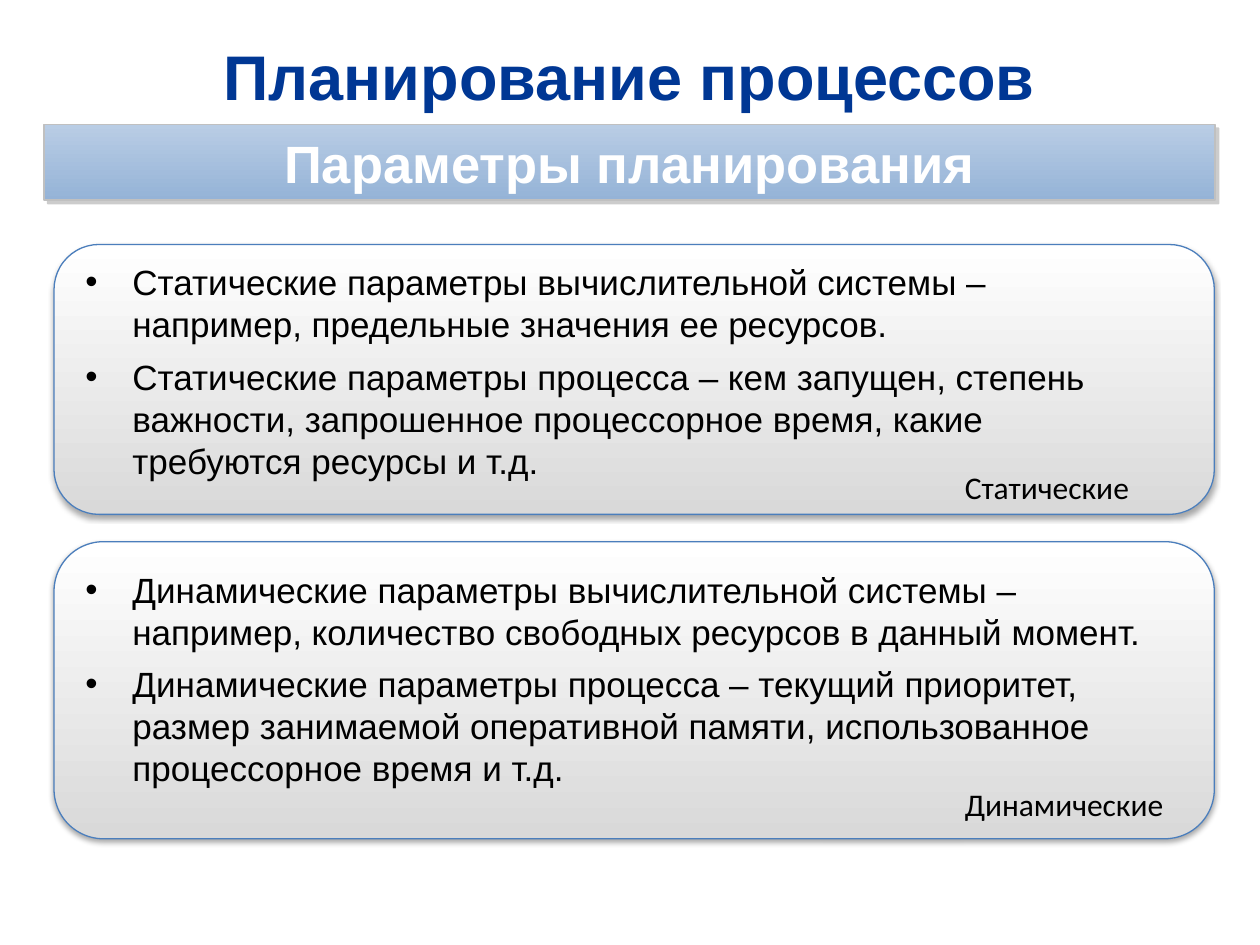
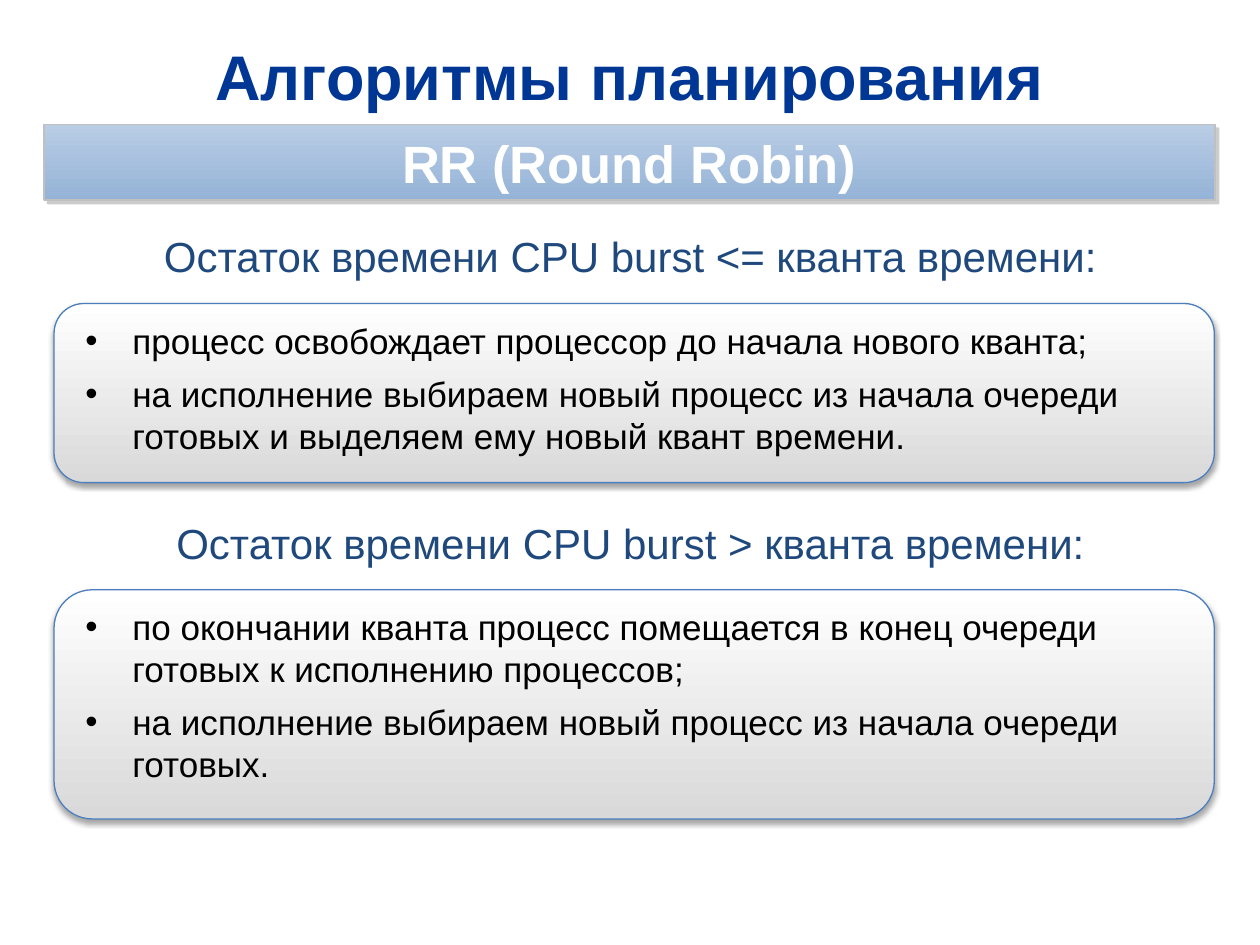
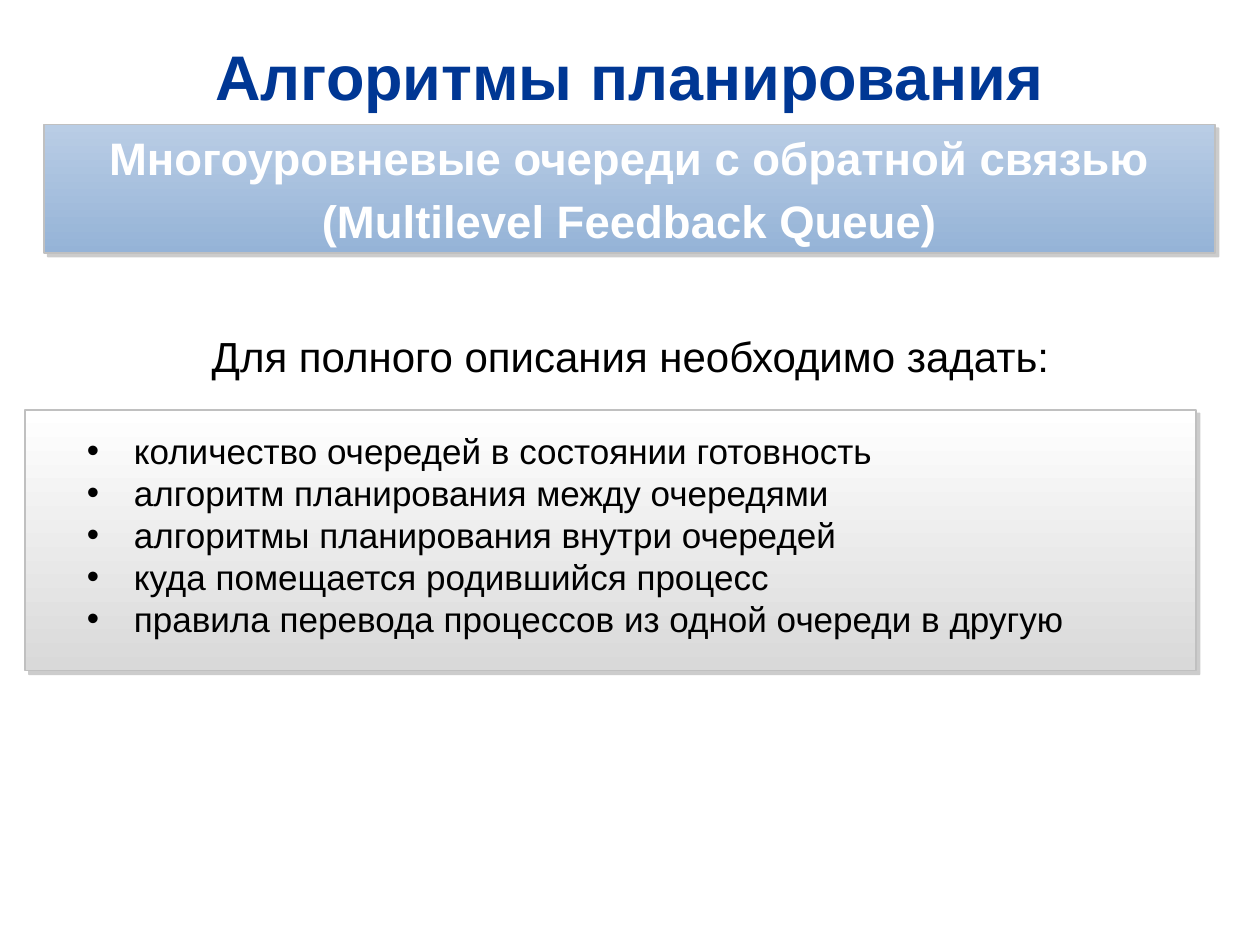
from dataclasses import dataclass

from lxml import etree
from pptx import Presentation, util as u
from pptx.dml.color import RGBColor
from pptx.enum import shapes, text
from pptx.oxml import ns

Cm, Pt = u.Cm, u.Pt
BOX, ROUND = shapes.MSO_SHAPE.RECTANGLE, shapes.MSO_SHAPE.ROUNDED_RECTANGLE


@dataclass(frozen=True)
class Theme:
    # Fonts and colours
    font: str = "Arial"
    alt: str = "Calibri"
    navy: str = "003794"
    blue: str = "1F497D"
    black: str = "000000"
    white: str = "FFFFFF"
    rim: str = "4B7EBC"
    edge: str = "C0C0C0"
    steel: tuple = ("B9CDE5", "95B3D7")
    grey: tuple = ("FFFFFF", "D9D9D9")
    # Shadows: colour, opacity %, blur pt, distance pt, angle
    soft: tuple = ("000000", 35, 3.1, 1.8, 90)
    hard: tuple = ("808080", 40, 0, 3, 45)
    # Type sizes
    title: int = 36
    band: int = 30
    head: int = 24
    body: int = 20
    note: int = 18


class Deck:
    def __init__(self, theme):
        self.theme = theme
        self.prs = Presentation()
        self.prs.slide_width, self.prs.slide_height = Cm(25.4), Cm(19.05)
        self.slide = None

    def start(self, title):
        """Add a slide with its title."""
        t = self.theme
        self.slide = self.prs.slides.add_slide(self.prs.slide_layouts[6])
        frame = self.frame(0.89, 0.66, 23.6, 1.73)
        frame.vertical_anchor = text.MSO_ANCHOR.MIDDLE
        self.line(frame, title, t.title, t.navy, bold=True, mid=True)

    def frame(self, x, y, w, h, grow=False):
        box = self.slide.shapes.add_textbox(Cm(x), Cm(y), Cm(w), Cm(h))
        frame = box.text_frame
        frame.word_wrap = True
        if grow:
            frame.auto_size = text.MSO_AUTO_SIZE.SHAPE_TO_FIT_TEXT
        return frame

    def line(self, frame, words, size, hue, font=None, bold=False, mid=False):
        """Write one paragraph, using the empty first one if it is free."""
        para = frame.paragraphs[-1]
        if para.runs:
            para = frame.add_paragraph()
        para.alignment = text.PP_ALIGN.CENTER if mid else text.PP_ALIGN.LEFT
        run = para.add_run()
        run.text = words
        run.font.name = font or self.theme.font
        run.font.size, run.font.bold = Pt(size), bold
        run.font.color.rgb = RGBColor.from_string(hue)
        return para

    def plate(self, kind, x, y, w, h, fade, rim, width, shade):
        """Add a shape with a vertical gradient and a shadow."""
        shape = self.slide.shapes.add_shape(kind, Cm(x), Cm(y), Cm(w), Cm(h))
        shape.fill.gradient()
        shape.fill.gradient_angle = 270
        for stop, hue in zip(shape.fill.gradient_stops, fade):
            stop.color.rgb = RGBColor.from_string(hue)
        shape.line.color.rgb = RGBColor.from_string(rim)
        shape.line.width = Pt(width)
        shape.shadow.inherit = False
        hue, alpha, blur, dist, angle = shade
        effects = shape._element.spPr.find(ns.qn("a:effectLst"))
        outer = etree.SubElement(
            effects, ns.qn("a:outerShdw"), blurRad=str(Pt(blur)),
            dist=str(Pt(dist)), dir=str(angle * 60000), rotWithShape="0")
        color = etree.SubElement(outer, ns.qn("a:srgbClr"), val=hue)
        etree.SubElement(color, ns.qn("a:alpha"), val=str(alpha * 1000))
        return shape

    def band(self, *lines, h=1.52, size=None):
        t = self.theme
        size = size or t.band
        shape = self.plate(BOX, 0.89, 2.51, 23.6, h, t.steel, t.edge, 1, t.hard)
        frame = shape.text_frame
        frame.word_wrap = True
        frame.vertical_anchor = text.MSO_ANCHOR.MIDDLE
        frame.margin_left = frame.margin_right = Cm(0.61)
        frame.margin_top = frame.margin_bottom = Cm(0.1)
        for words in lines:
            para = self.line(frame, words, size, t.white, bold=True, mid=True)
            para.space_after = Pt(size * 0.2)

    def panel(self, y, h):
        t = self.theme
        self.plate(ROUND, 1.09, y, 23.39, h, t.grey, t.rim, 0.75, t.soft)

    def card(self, y, h):
        t = self.theme
        self.plate(BOX, 0.51, y, 23.6, h, t.grey, t.edge, 1, t.hard)

    def items(self, y, h, *lines, x=1.47, w=21.79, gap=6):
        """Write a bulleted list."""
        frame = self.frame(x, y, w, h, grow=True)
        for i, words in enumerate(lines):
            para = self.line(frame, words, self.theme.body, self.theme.black)
            para.space_before = Pt(gap if i else 0)
            props = para._p.get_or_add_pPr()
            props.set("marL", str(Cm(0.95)))
            props.set("indent", str(-Cm(0.95)))
            etree.SubElement(props, ns.qn("a:buFont"), typeface=self.theme.font)
            etree.SubElement(props, ns.qn("a:buChar"), char="•")

    def head(self, y, words, hue):
        frame = self.frame(0.71, y, 24, 1.27, grow=True)
        self.line(frame, words, self.theme.head, hue, mid=True)

    def note(self, y, w, words):
        t = self.theme
        frame = self.frame(19.2, y, w, 1.02, grow=True)
        self.line(frame, words, t.note, t.black, font=t.alt)


def main():
    t = Theme()
    deck = Deck(t)

    # Scheduling parameters
    deck.start("Планирование процессов")
    deck.band("Параметры планирования")
    deck.panel(4.93, 5.44)
    deck.items(
        5.13, 4.75,
        "Статические параметры вычислительной системы – например, "
        "предельные значения ее ресурсов.",
        "Статические параметры процесса – кем запущен, степень важности, "
        "запрошенное процессорное время, какие требуются ресурсы и т.д.")
    deck.note(9.32, 3.99, "Статические")
    deck.panel(10.92, 5.99)
    deck.items(
        11.33, 4.75,
        "Динамические параметры вычислительной системы – например, "
        "количество свободных ресурсов в данный момент.",
        "Динамические параметры процесса – текущий приоритет, размер "
        "занимаемой оперативной памяти, использованное процессорное "
        "время и т.д.", w=22.43)
    deck.note(15.7, 4.7, "Динамические")

    # Round Robin
    deck.start("Алгоритмы планирования")
    deck.band("RR (Round Robin)")
    deck.head(4.52, "Остаток времени CPU burst <= кванта времени:", t.blue)
    deck.panel(6.12, 3.61)
    deck.items(
        6.32, 3.02,
        "процесс освобождает процессор до начала нового кванта;",
        "на исполнение выбираем новый процесс из начала очереди готовых "
        "и выделяем ему новый квант времени.")
    deck.head(10.31, "Остаток времени CPU burst > кванта времени:", t.blue)
    deck.panel(11.89, 4.62)
    deck.items(
        12.09, 3.89,
        "по окончании кванта процесс помещается в конец очереди готовых "
        "к исполнению процессов;",
        "на исполнение выбираем новый процесс из начала очереди готовых.")

    # Multilevel feedback queue
    deck.start("Алгоритмы планирования")
    deck.band("Многоуровневые очереди с обратной связью",
              "(Multilevel Feedback Queue)", h=2.59, size=26)
    deck.head(6.53, "Для полного описания необходимо задать:", t.black)
    deck.card(8.26, 5.26)
    deck.items(
        8.53, 4.52,
        "количество очередей в состоянии готовность",
        "алгоритм планирования между очередями",
        "алгоритмы планирования внутри очередей",
        "куда помещается родившийся процесс",
        "правила перевода процессов из одной очереди в другую",
        x=1.5, w=22.4, gap=0)

    deck.prs.save("out.pptx")


if __name__ == "__main__":
    main()
